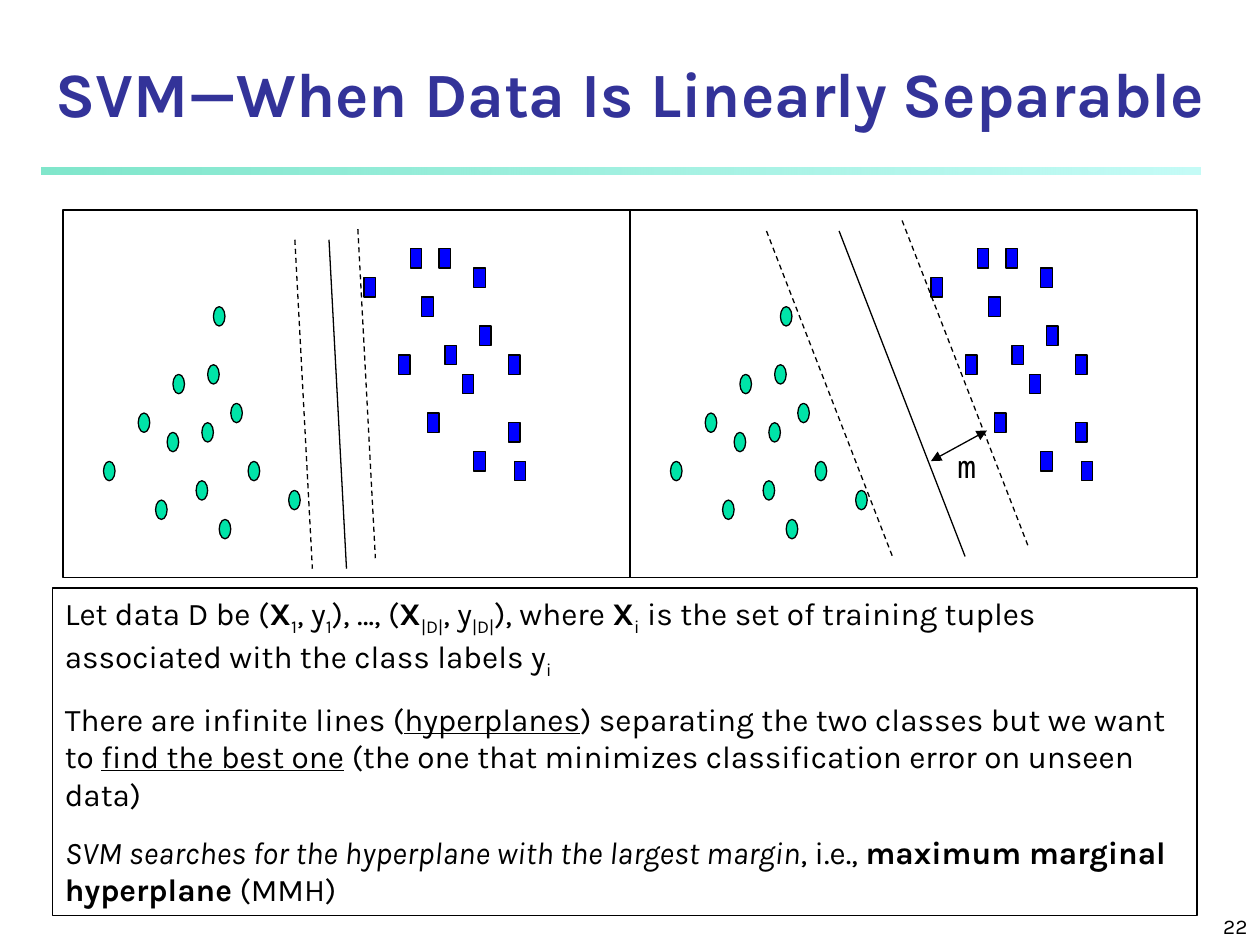
from dataclasses import dataclass

from lxml import etree
from pptx import Presentation
from pptx import util as u
from pptx.dml.color import RGBColor
from pptx.enum import dml, shapes, text
from pptx.oxml.ns import qn

Pt = u.Pt

BLACK = RGBColor(0x00, 0x00, 0x00)
TITLE_BLUE = RGBColor(0x33, 0x33, 0x99)
CLASS_GREEN = RGBColor(0x00, 0xE4, 0xA8)
CLASS_BLUE = RGBColor(0x00, 0x00, 0xFF)
BAR_DARK = RGBColor(0x00, 0xCE, 0x98)
BAR_LIGHT = RGBColor(0x8F, 0xF9, 0xEF)

RECT = shapes.MSO_SHAPE.RECTANGLE
OVAL = shapes.MSO_SHAPE.OVAL

PANEL_TOP, PANEL_W, PANEL_H = 120, 324, 210
# The samples sit on a grid of 98 x 38 steps; a marker covers two steps each way
STEP_X, STEP_Y = PANEL_W / 98, PANEL_H / 38


@dataclass(frozen=True)
class Box:
    left: float
    top: float
    width: float
    height: float

    def emu(self) -> tuple:
        return Pt(self.left), Pt(self.top), Pt(self.width), Pt(self.height)


@dataclass(frozen=True)
class Samples:
    preset: shapes.MSO_SHAPE
    color: RGBColor
    cells: tuple


@dataclass(frozen=True)
class Line:
    x: float
    y: float
    dx: float
    dy: float
    dashed: bool = False
    arrows: bool = False


@dataclass(frozen=True)
class Panel:
    left: float
    lines: tuple


@dataclass(frozen=True)
class Span:
    text: str
    bold: bool = False
    italic: bool = False
    underline: bool = False
    sub: bool = False


CLASSES = (
    Samples(OVAL, CLASS_GREEN, (
        (16, 30), (18, 23), (7, 26), (13, 21), (23, 28), (19, 17), (24, 22),
        (25, 16), (29, 20), (32, 26), (27, 32), (39, 29), (26, 10))),
    Samples(RECT, CLASS_BLUE, (
        (58, 15), (52, 7), (60, 4), (63, 21), (62, 9), (66, 14), (65, 4),
        (71, 6), (69, 17), (72, 12), (71, 25), (77, 15), (77, 22), (78, 26))),
)

PANELS = (
    Panel(36, (Line(204.5, 131, 10, 188, dashed=True),
               Line(168.5, 137, 10, 188, dashed=True),
               Line(188, 137, 10, 188))),
    Panel(36 + PANEL_W, (Line(438, 132, 72, 186, dashed=True),
                         Line(515.5, 126, 72, 186, dashed=True),
                         Line(479.5, 132, 72, 186))),
)
MARGIN = Line(532, 263.5, 32, -17.5, arrows=True)

EXPLANATION = (
    (Span("Let data D be ("), Span("X", bold=True), Span("1", sub=True),
     Span(", y"), Span("1", sub=True), Span("), …, ("),
     Span("X", bold=True), Span("|D|", sub=True),
     Span(", y"), Span("|D|", sub=True), Span("), where "),
     Span("X", bold=True), Span("i", sub=True),
     Span(" is the set of training tuples associated with the class labels y"),
     Span("i", sub=True)),
    (Span("There are infinite lines ("), Span("hyperplanes", underline=True),
     Span(") separating the two classes but we want to "),
     Span("find the best one", underline=True),
     Span(" (the one that minimizes classification error on unseen data)")),
    (Span("SVM searches for the hyperplane with the largest margin", italic=True),
     Span(", i.e., "), Span("maximum marginal hyperplane", bold=True),
     Span(" (MMH)")),
)


def draw_shape(parent, preset, box: Box, fill=None, outlined: bool = True):
    shape = parent.add_shape(preset, *box.emu())
    shape.shadow.inherit = False
    if fill is None:
        shape.fill.background()
    else:
        shape.fill.solid()
        shape.fill.fore_color.rgb = fill
    if outlined:
        shape.line.color.rgb = BLACK
        shape.line.width = Pt(0.75)
    else:
        shape.line.fill.background()
    return shape


def draw_line(parent, line: Line) -> None:
    connector = parent.add_connector(
        shapes.MSO_CONNECTOR.STRAIGHT, Pt(line.x), Pt(line.y),
        Pt(line.x + line.dx), Pt(line.y + line.dy))
    connector.line.color.rgb = BLACK
    connector.line.width = Pt(0.75)
    if line.dashed:
        connector.line.dash_style = dml.MSO_LINE.DASH
    properties = connector._element.spPr
    if line.arrows:
        for end in ("a:headEnd", "a:tailEnd"):
            etree.SubElement(properties.find(qn("a:ln")), qn(end), type="triangle")
    etree.SubElement(properties, qn("a:effectLst"))


def draw_panel(slide, panel: Panel) -> None:
    parts = slide.shapes.add_group_shape().shapes
    for samples in CLASSES:
        for column, row in samples.cells:
            cell = Box(panel.left + column * STEP_X, PANEL_TOP + row * STEP_Y,
                       2 * STEP_X, 2 * STEP_Y)
            draw_shape(parts, samples.preset, cell, samples.color)
    draw_shape(parts, RECT, Box(panel.left, PANEL_TOP, PANEL_W, PANEL_H))
    for line in panel.lines:
        draw_line(parts, line)


def write(shape, paragraphs: tuple, size: float, font: str = "Karla",
          color: RGBColor = BLACK, bold=None, align=text.PP_ALIGN.LEFT,
          anchor=text.MSO_ANCHOR.TOP, before: float = 0) -> None:
    frame = shape.text_frame
    frame.word_wrap = True
    frame.vertical_anchor = anchor
    for index, spans in enumerate(paragraphs):
        paragraph = frame.add_paragraph() if index else frame.paragraphs[0]
        paragraph.alignment = align
        paragraph.space_before = Pt(before)
        paragraph.font.name = font
        paragraph.font.size = Pt(size)
        paragraph.font.color.rgb = color
        paragraph.font.bold = bold
        for span in spans:
            run = paragraph.add_run()
            run.text = span.text
            run.font.bold = span.bold or None
            run.font.italic = span.italic or None
            run.font.underline = span.underline or None
            if span.sub:
                run._r.get_or_add_rPr().set("baseline", "-25000")


def draw_title_bar(slide) -> None:
    bar = draw_shape(slide.shapes, RECT, Box(23.5, 96, 662.5, 3.75), outlined=False)
    bar.fill.gradient()
    bar.fill.gradient_angle = 0
    for stop, color, alpha in zip(bar.fill.gradient_stops,
                                  (BAR_DARK, BAR_LIGHT), ("50000", "52000")):
        stop.color.rgb = color
        etree.SubElement(stop._gs.find(qn("a:srgbClr")), qn("a:alpha"), val=alpha)


def main() -> None:
    deck = Presentation()
    deck.slide_width, deck.slide_height = Pt(720), Pt(540)
    slide = deck.slides.add_slide(deck.slide_layouts[6])

    # Header and page number
    draw_title_bar(slide)
    number = slide.shapes.add_textbox(*Box(570, 510, 150, 30).emu())
    write(number, ((Span("22"),),), 12, align=text.PP_ALIGN.RIGHT,
          anchor=text.MSO_ANCHOR.BOTTOM)
    title = slide.shapes.add_textbox(*Box(0, 30, 720, 48).emu())
    write(title, ((Span("SVM—When Data Is Linearly Separable"),),), 36,
          color=TITLE_BLUE, bold=True, align=text.PP_ALIGN.CENTER,
          anchor=text.MSO_ANCHOR.BOTTOM)

    # Small and large margin, side by side
    for panel in PANELS:
        draw_panel(slide, panel)
    draw_line(slide.shapes, MARGIN)
    margin_label = slide.shapes.add_textbox(*Box(540, 252, 42, 29).emu())
    write(margin_label, ((Span("m"),),), 18, font="Noto Sans Mono", before=11.2)

    # Explanation
    explanation = draw_shape(slide.shapes, RECT, Box(30, 336, 654, 187))
    write(explanation, EXPLANATION, 18, before=11.2)

    deck.save("out.pptx")


if __name__ == "__main__":
    main()
